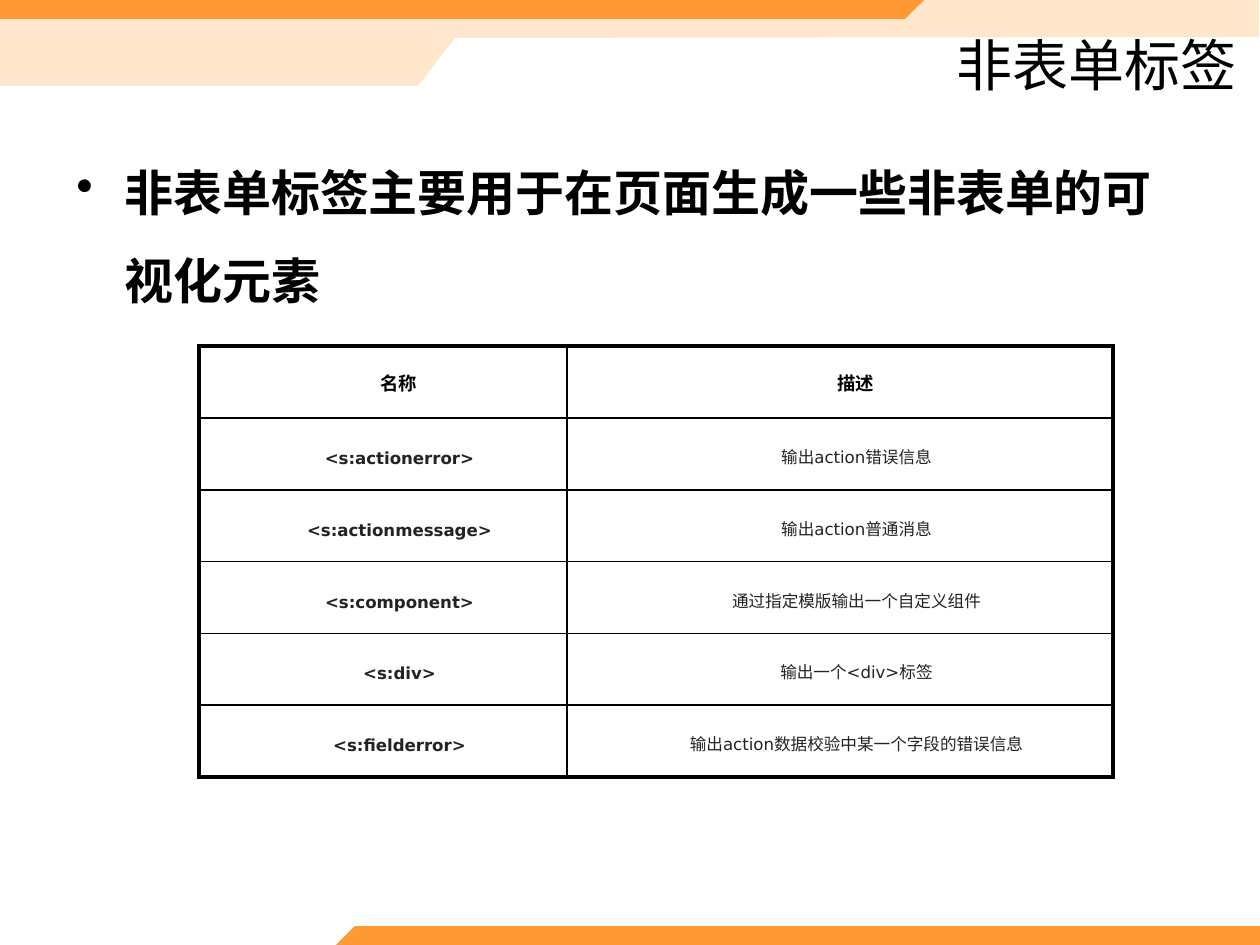
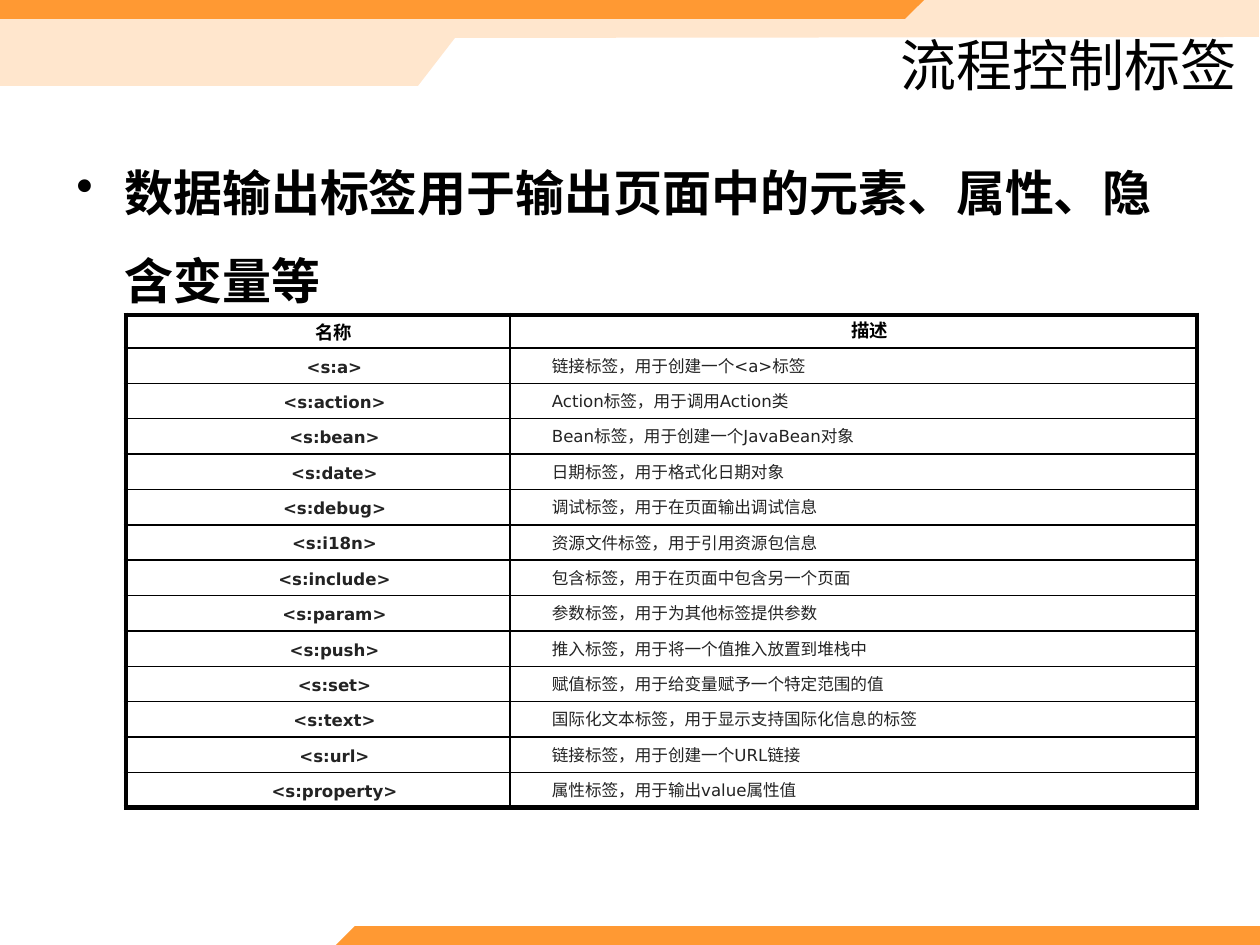
"""Build two slides that list tag names and their descriptions."""
from dataclasses import dataclass

from lxml.etree import SubElement
from pptx import Presentation
from pptx.dml.color import RGBColor
from pptx.enum.text import MSO_ANCHOR, PP_ALIGN
from pptx.oxml.ns import qn
from pptx.util import Emu, Pt

EMU_PER_PX = 914400 / 126


@dataclass(frozen=True)
class Theme:
    orange: str = "FF9933"
    peach: str = "FFE6CD"
    black: str = "000000"
    grey: str = "232323"
    text_font: str = "Calibri"
    header_font: str = "Times New Roman"
    cell_font: str = "DejaVu Sans"
    title_size: float = 32
    body_size: float = 28
    header_size: float = 10.5
    cell_size: float = 9.5
    outer_line: float = 3
    inner_line: float = 1


THEME = Theme()

BANDS = [
    (THEME.peach, [(1259, 0), (0, 0), (0, 86), (418, 86), (455, 38), (1259, 37)]),
    (THEME.orange, [(924, 0), (905, 19), (0, 19), (0, 0)]),
    (THEME.orange, [(336, 945), (355, 926), (1260, 926), (1260, 945)]),
]

HEADER = ("名称", "描述")

NON_FORM_TAGS = [
    ("<s:actionerror>", "输出action错误信息"),
    ("<s:actionmessage>", "输出action普通消息"),
    ("<s:component>", "通过指定模版输出一个自定义组件"),
    ("<s:div>", "输出一个<div>标签"),
    ("<s:fielderror>", "输出action数据校验中某一个字段的错误信息"),
]

DATA_TAGS = [
    ("<s:a>", "链接标签，用于创建一个<a>标签"),
    ("<s:action>", "Action标签，用于调用Action类"),
    ("<s:bean>", "Bean标签，用于创建一个JavaBean对象"),
    ("<s:date>", "日期标签，用于格式化日期对象"),
    ("<s:debug>", "调试标签，用于在页面输出调试信息"),
    ("<s:i18n>", "资源文件标签，用于引用资源包信息"),
    ("<s:include>", "包含标签，用于在页面中包含另一个页面"),
    ("<s:param>", "参数标签，用于为其他标签提供参数"),
    ("<s:push>", "推入标签，用于将一个值推入放置到堆栈中"),
    ("<s:set>", "赋值标签，用于给变量赋予一个特定范围的值"),
    ("<s:text>", "国际化文本标签，用于显示支持国际化信息的标签"),
    ("<s:url>", "链接标签，用于创建一个URL链接"),
    ("<s:property>", "属性标签，用于输出value属性值"),
]


def px(n):
    return Emu(round(n * EMU_PER_PX))


def set_font(p, name, size, color, bold=False):
    p.font.name = name
    p.font.size = Pt(size)
    p.font.bold = bold
    p.font.color.rgb = RGBColor.from_string(color)


def set_indent(p, left, first):
    pPr = p._p.get_or_add_pPr()
    pPr.set("marL", str(px(left)))
    pPr.set("indent", str(px(first)))
    return pPr


def add_band(s, color, points):
    builder = s.shapes.build_freeform(*points[0], scale=EMU_PER_PX)
    builder.add_line_segments(points[1:], close=True)
    sp = builder.convert_to_shape()
    sp.shadow.inherit = False
    sp.fill.solid()
    sp.fill.fore_color.rgb = RGBColor.from_string(color)
    sp.line.fill.background()


def add_text(s, text, x, y, w, h, anchor):
    tf = s.shapes.add_textbox(px(x), px(y), px(w), px(h)).text_frame
    tf.word_wrap = True
    tf.vertical_anchor = anchor
    p = tf.paragraphs[0]
    p.text = text
    return p


def add_title(s, text):
    p = add_text(s, text, 512, 35, 737, 59, MSO_ANCHOR.MIDDLE)
    p.alignment = PP_ALIGN.RIGHT
    set_font(p, THEME.text_font, THEME.title_size, THEME.black)


def add_bullet(s, text):
    p = add_text(s, text, 64, 127, 1134, 713, MSO_ANCHOR.TOP)
    p.line_spacing = 1.5
    p.space_before = Pt(THEME.body_size * 0.2)
    SubElement(set_indent(p, 48, -48), qn("a:buChar"), char="•")
    set_font(p, THEME.text_font, THEME.body_size, THEME.black, bold=True)


def set_borders(cell, outer_sides):
    tcPr = cell._tc.get_or_add_tcPr()
    for side in "LRTB":
        width = THEME.outer_line if side in outer_sides else THEME.inner_line
        ln = SubElement(tcPr, qn(f"a:ln{side}"), w=str(Pt(width)))
        SubElement(SubElement(ln, qn("a:solidFill")), qn("a:srgbClr"), val=THEME.black)


def fill_cell(cell, text, is_header, is_name, align, anchor):
    cell.margin_left = cell.margin_right = px(9)
    cell.margin_top = cell.margin_bottom = 0
    cell.vertical_anchor = anchor
    cell.fill.background()
    p = cell.text_frame.paragraphs[0]
    p.text = text
    p.alignment = align
    p.space_before = p.space_after = Pt(6)
    p.line_spacing = Pt(15.6 if is_header else 16.6)
    set_indent(p, 0, 32 if is_header else 33)
    if is_header:
        set_font(p, THEME.header_font, THEME.header_size, THEME.black, bold=True)
    else:
        set_font(p, THEME.cell_font, THEME.cell_size, THEME.grey, bold=is_name)


def add_tag_table(s, tags, x, y, widths, height, header_height, align, anchor):
    rows = [HEADER, *tags]
    last = len(rows) - 1
    frame = s.shapes.add_table(len(rows), 2, px(x), px(y), px(sum(widths)), px(height))
    table = frame.table
    table.first_row = table.horz_banding = False
    for column, width in zip(table.columns, widths):
        column.width = px(width)
    for i, texts in enumerate(rows):
        is_header = i == 0
        row_height = header_height if is_header else (height - header_height) / last
        table.rows[i].height = px(row_height)
        for j, text in enumerate(texts):
            is_name = j == 0
            cell = table.cell(i, j)
            edges = ("L" if is_name else "R") + "T" * is_header + "B" * (i == last)
            set_borders(cell, edges)
            centred = is_header or is_name
            fill_cell(cell, text, is_header, is_name,
                      PP_ALIGN.CENTER if centred else align,
                      MSO_ANCHOR.MIDDLE if is_header and is_name else anchor)


def add_tag_slide(prs, title, bullet):
    s = prs.slides.add_slide(prs.slide_layouts[6])
    for color, points in BANDS:
        add_band(s, color, points)
    add_title(s, title)
    add_bullet(s, bullet)
    return s


def main():
    prs = Presentation()
    prs.slide_width, prs.slide_height = px(1260), px(945)

    s = add_tag_slide(prs, "非表单标签", "非表单标签主要用于在页面生成一些非表单的可视化元素")
    add_tag_table(s, NON_FORM_TAGS, 199, 346, (368, 546), 431, 72,
                  PP_ALIGN.CENTER, MSO_ANCHOR.MIDDLE)

    s = add_tag_slide(prs, "流程控制标签", "数据输出标签用于输出页面中的元素、属性、隐含变量等")
    add_tag_table(s, DATA_TAGS, 126, 315, (384, 687), 493, 33,
                  PP_ALIGN.LEFT, MSO_ANCHOR.TOP)

    prs.save("out.pptx")


if __name__ == "__main__":
    main()
